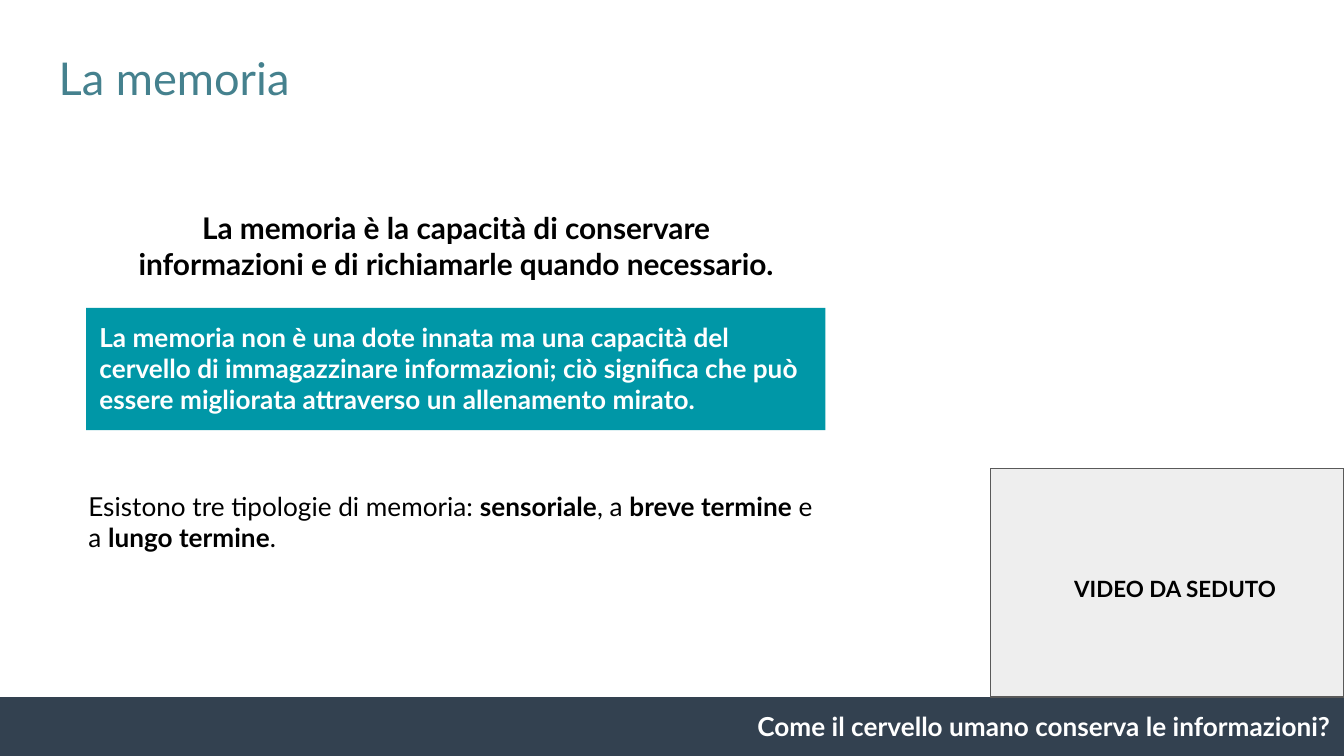
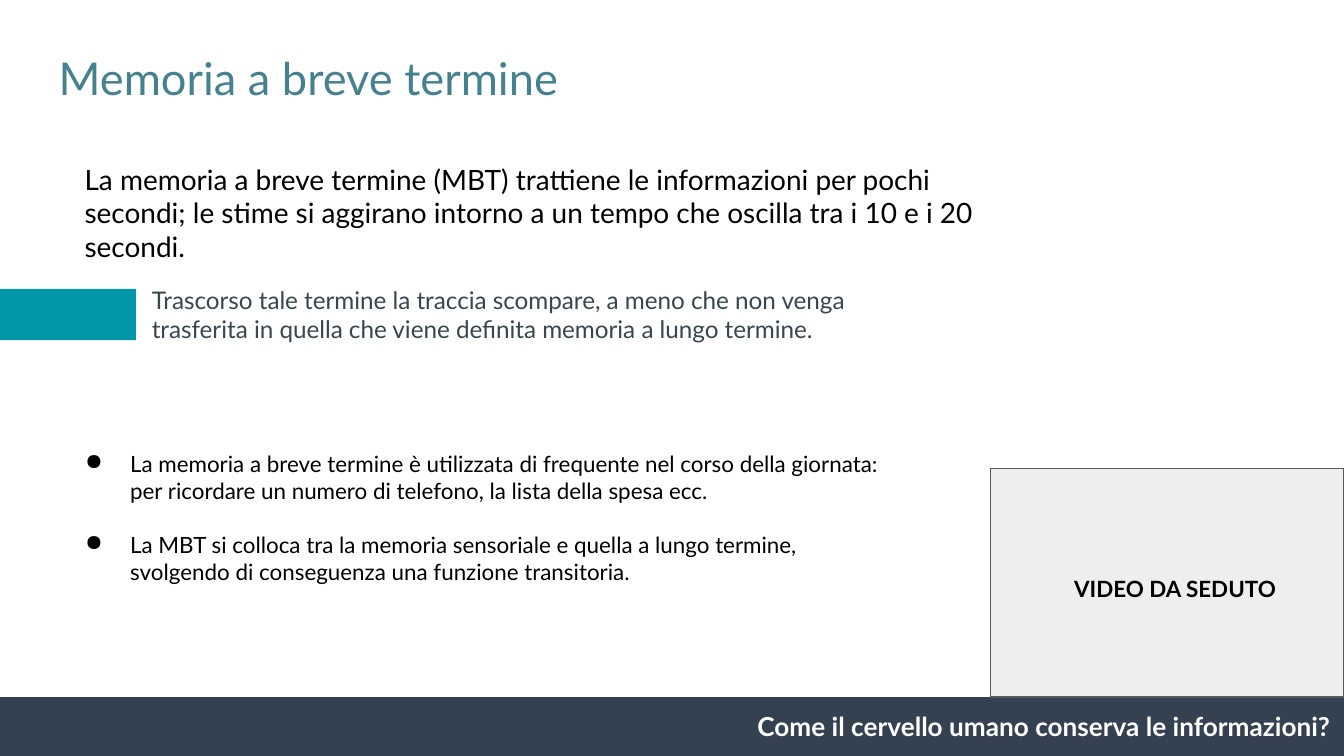
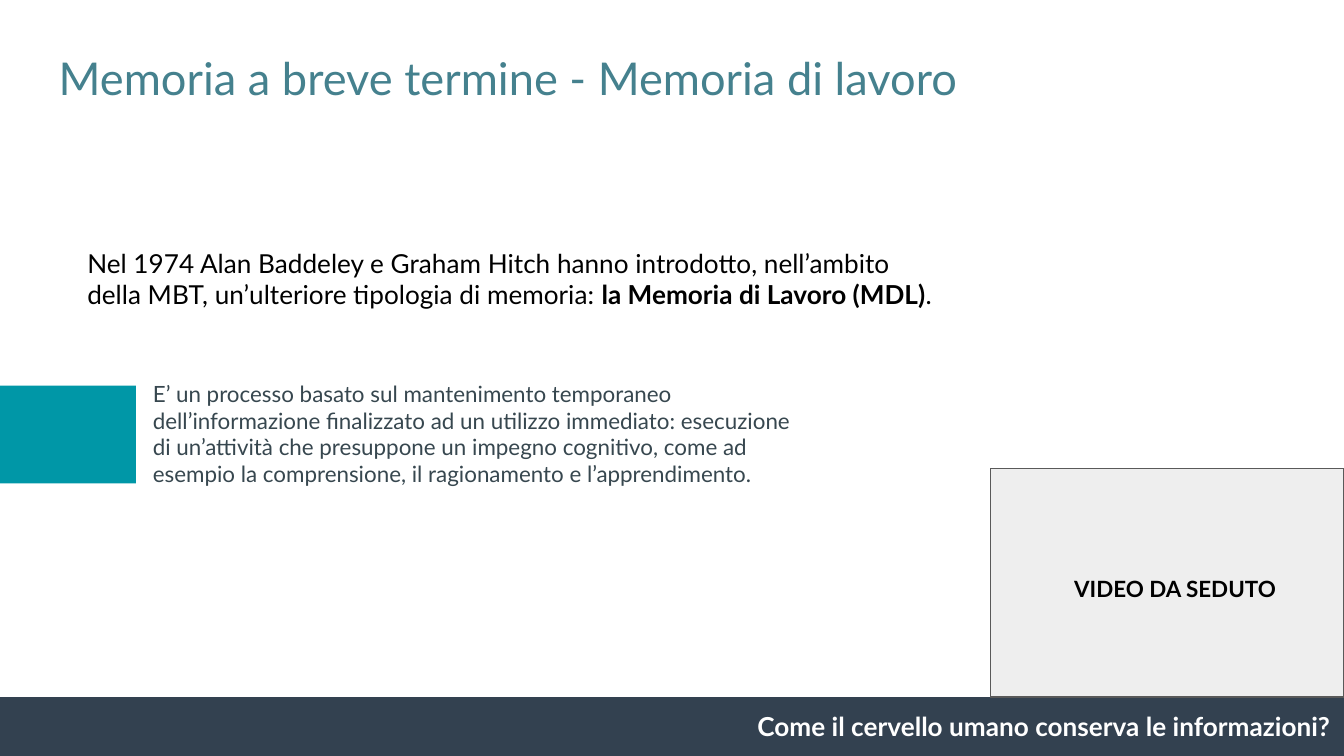
from dataclasses import dataclass

from lxml.etree import SubElement
from pptx import Presentation
from pptx.dml.color import RGBColor
from pptx.enum.shapes import MSO_SHAPE
from pptx.enum.text import MSO_ANCHOR, PP_ALIGN
from pptx.oxml.ns import qn
from pptx.util import Cm, Pt


@dataclass(frozen=True)
class Theme:
    font: str = "Lato"
    title: str = "45818E"
    accent: str = "0097A7"
    band: str = "334150"
    panel: str = "EEEEEE"
    outline: str = "595959"
    ink: str = "000000"
    muted: str = "37474F"
    light: str = "FFFFFF"
    title_size: float = 24.2
    lead_size: float = 16
    intro_size: float = 15
    body_size: float = 14
    note_size: float = 13
    small_size: float = 12


WIDTH, HEIGHT = 25.4, 14.29
BAND_TOP = 13.18
PANEL_LEFT, PANEL_TOP = 18.72, 8.86
MARKER_WIDTH = 2.57
INSET = 0.25


def apply_format(target, values):
    for name, value in values.items():
        setattr(target, name, value)


class Deck:
    def __init__(self, theme):
        self.theme = theme
        self.presentation = Presentation()
        apply_format(self.presentation, {"slide_width": Cm(WIDTH), "slide_height": Cm(HEIGHT)})
        self.slide = None

    def new_slide(self, title):
        theme = self.theme
        self.slide = self.presentation.slides.add_slide(self.presentation.slide_layouts[6])
        self.text((0.86, 0.71, 23.67, 1.6), title, theme.title_size, theme.title)
        self.box((0, BAND_TOP, WIDTH, HEIGHT - BAND_TOP), theme.band)
        self.text((11.58, BAND_TOP, WIDTH - 11.58, 1.11),
                  "*Come il cervello umano conserva le informazioni?*",
                  theme.body_size, theme.light, alignment=PP_ALIGN.RIGHT)
        self.box((PANEL_LEFT, PANEL_TOP, WIDTH - PANEL_LEFT, BAND_TOP - PANEL_TOP),
                 theme.panel, theme.outline)
        self.text((19.43, 10.62, 5.56, 1.6), "*VIDEO DA SEDUTO*",
                  theme.small_size, theme.ink, alignment=PP_ALIGN.CENTER)

    def box(self, area, fill, outline=None):
        shape = self.slide.shapes.add_shape(MSO_SHAPE.RECTANGLE, *map(Cm, area))
        shape.shadow.inherit = False
        shape.fill.solid()
        shape.fill.fore_color.rgb = RGBColor.from_string(fill)
        if outline:
            shape.line.color.rgb = RGBColor.from_string(outline)
            shape.line.width = Pt(0.75)
        else:
            shape.line.fill.background()
        return shape

    def marker(self, top, height):
        self.box((0, top, MARKER_WIDTH, height), self.theme.accent)

    def prepare(self, shape):
        margins = {f"margin_{side}": Cm(INSET) for side in ("left", "top", "right", "bottom")}
        apply_format(shape.text_frame,
                     {"word_wrap": True, "vertical_anchor": MSO_ANCHOR.TOP, **margins})
        return shape.text_frame

    def text(self, area, content, size, color, **layout):
        frame = self.prepare(self.slide.shapes.add_textbox(*map(Cm, area)))
        self.fill_paragraph(frame.paragraphs[0], content, size, color, **layout)
        return frame

    def callout(self, area, content):
        frame = self.prepare(self.box(area, self.theme.accent))
        self.fill_paragraph(frame.paragraphs[0], content, self.theme.body_size, self.theme.light)

    def fill_paragraph(self, paragraph, content, size, color, **layout):
        apply_format(paragraph, {"alignment": PP_ALIGN.LEFT, **layout})
        for index, part in enumerate(content.split("*")):
            if not part:
                continue
            for line_number, line in enumerate(part.split("\n")):
                if line_number:
                    paragraph.add_line_break()
                run = paragraph.add_run()
                run.text = line
                apply_format(run.font, {"name": self.theme.font, "size": Pt(size),
                                        "bold": index % 2 == 1})
                run.font.color.rgb = RGBColor.from_string(color)

    def indent(self, paragraph, left, hanging=0):
        properties = paragraph._p.get_or_add_pPr()
        properties.set("marL", str(Cm(left)))
        properties.set("indent", str(-Cm(hanging)))
        return properties

    def bullets(self, area, items, size, gap):
        frame = self.prepare(self.slide.shapes.add_textbox(*map(Cm, area)))
        for index, item in enumerate(items):
            paragraph = frame.add_paragraph() if index else frame.paragraphs[0]
            self.fill_paragraph(paragraph, item, size, self.theme.ink,
                                space_before=Pt(gap if index else 0))
            properties = self.indent(paragraph, 1.27, 0.85)
            bullet_color = SubElement(properties, qn("a:buClr"))
            SubElement(bullet_color, qn("a:srgbClr")).set("val", self.theme.ink)
            SubElement(properties, qn("a:buChar")).set("char", "●")


theme = Theme()
deck = Deck(theme)

deck.new_slide("La memoria")
deck.text((2.21, 3.71, 12.83, 1.88),
          "*La memoria è la capacità di conservare informazioni e di richiamarle quando necessario.*",
          theme.lead_size, theme.ink, alignment=PP_ALIGN.CENTER)
deck.callout((1.63, 5.82, 13.97, 2.31),
             "*La memoria non è una dote innata ma una capacità del cervello di immagazzinare "
             "informazioni; ciò significa che può essere migliorata attraverso un allenamento mirato.*")
deck.text((1.42, 9.02, 14.38, 1.7),
          "Esistono tre tipologie di memoria:* sensoriale*, a *breve termine* e a *lungo termine*.",
          theme.body_size, theme.ink)

deck.new_slide("Memoria a breve termine")
introduction = deck.text(
    (1.35, 2.82, 17.37, 3.99),
    "La memoria a breve termine (MBT) trattiene le informazioni per pochi secondi; "
    "le stime si aggirano intorno a un tempo che oscilla tra i 10 e i 20 secondi.",
    theme.intro_size, theme.ink)
consequence = introduction.add_paragraph()
deck.fill_paragraph(consequence,
                    "Trascorso tale termine la traccia scompare, a meno che non venga\n"
                    "trasferita in quella che viene definita memoria a lungo termine.",
                    theme.note_size, theme.muted, space_before=Pt(12))
deck.indent(consequence, 1.27)
deck.marker(5.46, 0.97)
deck.bullets((0.94, 8.26, 16, 3.07), [
    "La memoria a breve termine è utilizzata di frequente nel corso della giornata: "
    "per ricordare un numero di telefono, la lista della spesa ecc.",
    "La MBT si colloca tra la memoria sensoriale e quella a lungo termine, "
    "svolgendo di conseguenza una funzione transitoria.",
], theme.small_size, 14.4)

deck.new_slide("Memoria a breve termine - Memoria di lavoro")
deck.text((1.4, 4.42, 16.69, 1.7),
          "Nel 1974 Alan Baddeley e Graham Hitch hanno introdotto, nell’ambito della MBT, "
          "un’ulteriore tipologia di memoria: *la Memoria di Lavoro (MDL)*.",
          theme.body_size, theme.ink)
deck.marker(7.29, 1.85)
deck.text((2.64, 6.93, 12.8, 2.57),
          "E’ un processo basato sul mantenimento temporaneo dell’informazione finalizzato ad un "
          "utilizzo immediato: esecuzione di un’attività che presuppone un impegno cognitivo, "
          "come ad esempio la comprensione, il ragionamento e l’apprendimento.",
          theme.small_size, theme.muted)

deck.presentation.save("out.pptx")
